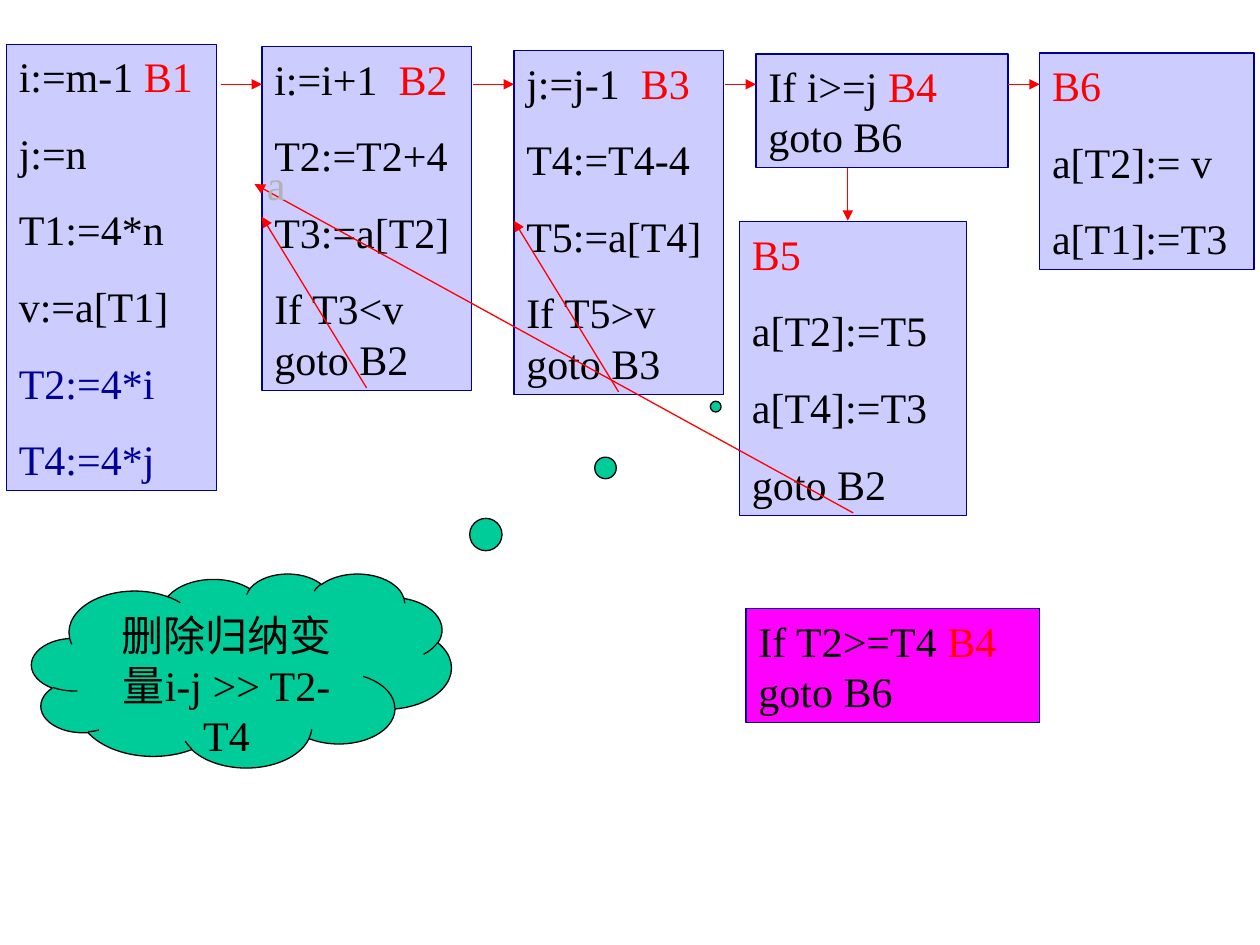
from dataclasses import dataclass

from lxml import etree
from pptx import Presentation
from pptx.dml.color import RGBColor
from pptx.enum.shapes import MSO_CONNECTOR, MSO_SHAPE
from pptx.enum.text import MSO_ANCHOR, MSO_AUTO_SIZE, PP_ALIGN
from pptx.oxml.ns import qn
from pptx.util import Cm, Pt

RECT = MSO_SHAPE.RECTANGLE
CLOUD = MSO_SHAPE.CLOUD_CALLOUT
STRAIGHT = MSO_CONNECTOR.STRAIGHT
TOP = MSO_ANCHOR.TOP
GROW = MSO_AUTO_SIZE.SHAPE_TO_FIT_TEXT
FIXED = MSO_AUTO_SIZE.NONE
LEFT, CENTER = PP_ALIGN.LEFT, PP_ALIGN.CENTER

COLORS = {
    "block": "CCCCFF",
    "new_block": "FF00FF",
    "border": "000099",
    "text": "000000",
    "label": "FF0000",
    "induction": "000099",
    "arrow": "FF0000",
    "faded": "B2B2B2",
    "cloud": "00CC99",
}
FONT = {"name": "Times New Roman", "size": Pt(24)}
FRAME = {
    "word_wrap": True,
    "vertical_anchor": TOP,
    "margin_left": Cm(0.25),
    "margin_right": Cm(0.25),
    "margin_top": Cm(0.13),
    "margin_bottom": Cm(0.13),
}
LINE_WIDTH = Pt(0.75)
FLOW_Y = 1.7

Run = tuple[str, str]
Lines = list[list[Run]]


@dataclass
class Block:
    left: float
    top: float
    width: float
    height: float
    lines: Lines
    fill: str = "block"


@dataclass
class Arrow:
    x1: float
    y1: float
    x2: float
    y2: float


def rgb(key: str) -> RGBColor:
    return RGBColor.from_string(COLORS[key])


def set_all(target, values: dict) -> None:
    for name, value in values.items():
        setattr(target, name, value)


def plain(*texts: str, color: str = "text") -> Lines:
    return [[(text, color)] for text in texts]


def write(tf, lines: Lines, align=LEFT, fit=GROW) -> None:
    set_all(tf, FRAME | {"auto_size": fit})
    for i, runs in enumerate(lines):
        p = tf.add_paragraph() if i else tf.paragraphs[0]
        set_all(p, {"alignment": align, "space_before": Pt(15 if i else 0)})
        for text, color in runs:
            r = p.add_run()
            r.text = text
            set_all(r.font, FONT)
            r.font.color.rgb = rgb(color)


def add_filled(s, kind, box: tuple, fill: str, border: str):
    sp = s.shapes.add_shape(kind, *map(Cm, box))
    sp.shadow.inherit = False
    sp.fill.solid()
    sp.fill.fore_color.rgb = rgb(fill)
    sp.line.color.rgb = rgb(border)
    sp.line.width = LINE_WIDTH
    return sp


def add_block(s, b: Block) -> None:
    box = (b.left, b.top, b.width, b.height)
    sp = add_filled(s, RECT, box, b.fill, "border")
    write(sp.text_frame, b.lines)


def add_arrow(s, a: Arrow) -> None:
    cx = s.shapes.add_connector(STRAIGHT, Cm(a.x1), Cm(a.y1), Cm(a.x2), Cm(a.y2))
    cx.line.color.rgb = rgb("arrow")
    cx.line.width = LINE_WIDTH
    etree.SubElement(cx.line._get_or_add_ln(), qn("a:tailEnd"), type="triangle")
    etree.SubElement(cx._element.spPr, qn("a:effectLst"))


BLOCKS = [
    Block(0.13, 0.89, 4.23, 9, [
        [("i:=m-1 ", "text"), ("B1", "label")],
        *plain("j:=n", "T1:=4*n", "v:=a[T1]"),
        *plain("T2:=4*i", "T4:=4*j", color="induction"),
    ]),
    Block(5.28, 0.94, 4.23, 6.93, [
        [("i:=i+1  ", "text"), ("B2", "label")],
        *plain("T2:=T2+4", "T3:=a[T2]", "If T3<v goto B2"),
    ]),
    Block(10.36, 1.02, 4.23, 6.93, [
        [("j:=j-1  ", "text"), ("B3", "label")],
        *plain("T4:=T4-4", "T5:=a[T4]", "If T5>v goto B3"),
    ]),
    Block(15.24, 1.09, 5.08, 2.29, [
        [("If i>=j ", "text"), ("B4", "label"), (" goto B6", "text")],
    ]),
    Block(20.96, 1.07, 4.32, 4.37, [
        [("B6", "label")],
        *plain("a[T2]:= v", "a[T1]:=T3"),
    ]),
    Block(14.91, 4.47, 4.57, 5.92, [
        [("B5", "label")],
        *plain("a[T2]:=T5", "a[T4]:=T3", "goto B2"),
    ]),
    Block(15.04, 12.27, 5.92, 2.29, [
        [("If T2>=T4 ", "text"), ("B4", "label"), (" goto B6", "text")],
    ], "new_block"),
]

FLOW_SPANS = [(4.45, 5.28), (9.53, 10.36), (14.61, 15.24), (20.32, 20.96)]
ARROWS = [Arrow(x1, FLOW_Y, x2, FLOW_Y) for x1, x2 in FLOW_SPANS] + [
    Arrow(17.09, 3.38, 17.09, 4.45),
    Arrow(7.39, 7.82, 5.28, 4.37),
    Arrow(12.47, 7.9, 10.36, 4.45),
    Arrow(17.2, 10.34, 5.13, 3.71),
]


def main() -> None:
    prs = Presentation()
    prs.slide_width, prs.slide_height = Cm(25.4), Cm(19.05)
    s = prs.slides.add_slide(prs.slide_layouts[6])
    for block in BLOCKS:
        add_block(s, block)
    for arrow in ARROWS:
        add_arrow(s, arrow)
    mark = s.shapes.add_textbox(Cm(5.13), Cm(3.07), Cm(0.84), Cm(1.27))
    write(mark.text_frame, plain("a", color="faded"))
    cloud = add_filled(s, CLOUD, (0.64, 11.56, 8.46, 3.91), "cloud", "text")
    cloud.adjustments[0], cloud.adjustments[1] = 1.13, -1.36
    write(cloud.text_frame, plain("删除归纳变量i-j >> T2-T4"), CENTER, FIXED)
    prs.save("out.pptx")


if __name__ == "__main__":
    main()
